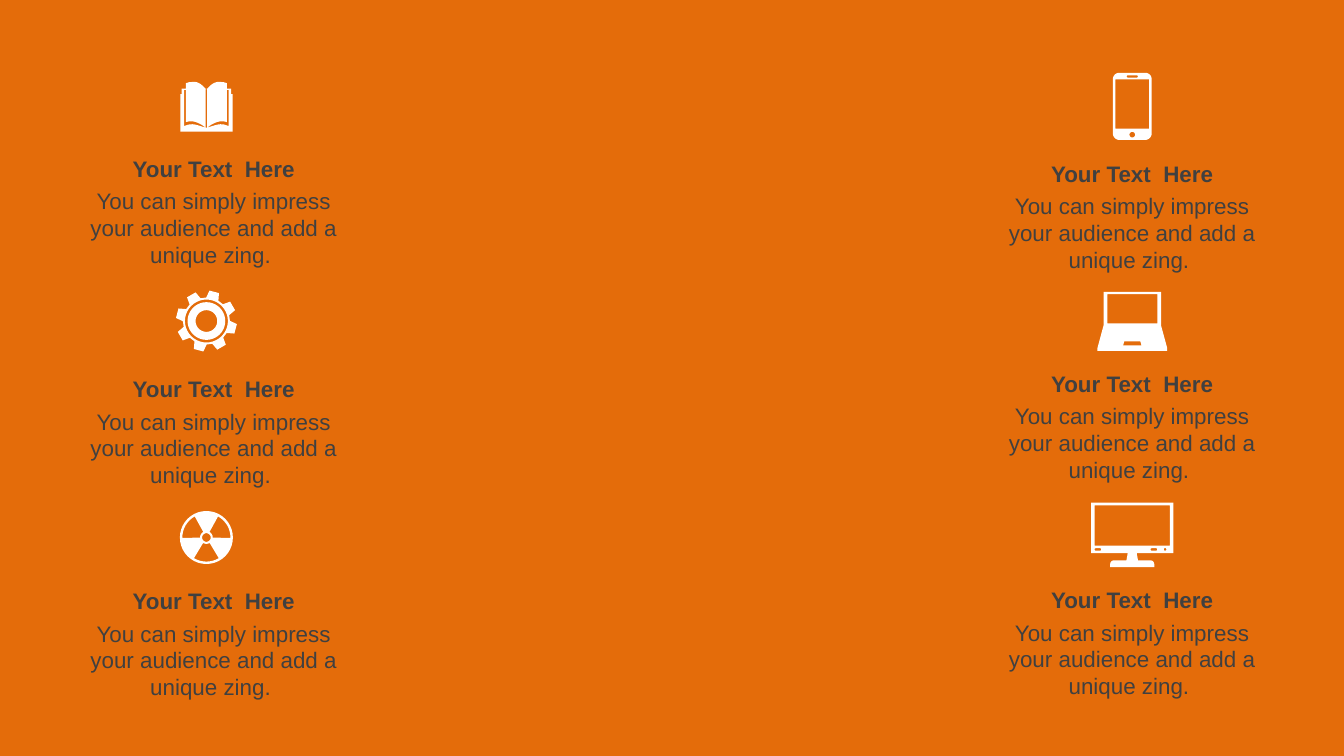
import math

import pptx
import pptx.dml.color
import pptx.enum.text
import pptx.util

Pt = pptx.util.Pt
ORANGE = pptx.dml.color.RGBColor(0xE4, 0x6C, 0x0A)
WHITE = pptx.dml.color.RGBColor(0xFF, 0xFF, 0xFF)
GREY = pptx.dml.color.RGBColor(0x40, 0x40, 0x40)
HEAD = "Your Text  Here"
BODY = "You can simply impress your audience and add a unique zing. "
WIDTH = 164.2


def polar(r, angle, x=0, y=0):
    turn = math.radians(angle)
    return x + r * math.sin(turn), y - r * math.cos(turn)


def arc(r, start, end, x=0, y=0, steps=8):
    return [polar(r, start + (end - start) * i / steps, x, y)
            for i in range(steps + 1)]


def circle(r, x=0, y=0):
    return arc(r, 0, 360, x, y, 40)[:-1]


def curve(a, b, c, d, steps=10):
    points = []
    for i in range(steps + 1):
        t = i / steps
        s = 1 - t
        mix = (s ** 3, 3 * s * s * t, 3 * s * t * t, t ** 3)
        points.append(tuple(sum(m * p[k] for m, p in zip(mix, (a, b, c, d)))
                            for k in (0, 1)))
    return points


def box(x, y, w, h):
    return [(x, y), (x + w, y), (x + w, y + h), (x, y + h)]


def rounded(x, y, w, h, r):
    return (arc(r, 0, 90, x + w - r, y + r)
            + arc(r, 90, 180, x + w - r, y + h - r)
            + arc(r, 180, 270, x + r, y + h - r)
            + arc(r, 270, 360, x + r, y + r))


def flip(points):
    return [(-x, y) for x, y in reversed(points)]


def mirror(half):
    return half + flip(half)


def book():
    cover = curve((0.3, -9.5), (2.5, -12), (4.5, -13.3), (6.5, -13.3))
    cover += [(9, -13.2), (11, -12.6), (11, -9.7), (13.3, -9.7),
              (13.3, -6.8), (14, -6.8), (14, 13.3)]
    edge = [(11, -9), (11.9, -9)]
    edge += curve((11.9, 10.4), (7.6, 8.4), (5.4, 9.8), (0.4, 11.2))
    edge += curve((0.4, 11.2), (4, 8.4), (7.6, 7), (11, 8.3))
    return [mirror(cover), edge, flip(edge), box(-0.4, -9.4, 0.8, 20.6)]


def gear():
    teeth = []
    for i in range(8):
        mid = 15 + 45 * i
        teeth += [polar(12.6, mid - 15.5), polar(16.4, mid - 9.2),
                  polar(16.4, mid + 9.2), polar(12.6, mid + 15.5)]
    return [teeth, circle(11.5), circle(10.1), circle(5.8)]


def hazard():
    vanes = [arc(12.9, mid - 31, mid + 31) + arc(3.4, mid + 31, mid - 31)
             for mid in (60, 180, 300)]
    return [circle(14.2), circle(2.3)] + vanes


def phone():
    return [rounded(-10.4, -18, 20.8, 36, 3.5), box(-9, -14.4, 18, 26.4),
            rounded(-3, -16.6, 6, 1.2, 0.6), circle(1.5, 0, 15.2)]


def laptop():
    body = [(15.4, -15.8), (15.4, 2.2), (18.7, 14.4), (18.7, 15.8)]
    return [mirror(body), box(-13.4, -14.5, 26.8, 15.7),
            mirror([(4.3, 10.8), (4.9, 12.9)])]


def screen():
    frame = [(22, -17.3), (22, 9.8), (2.4, 9.8), (3.1, 13.7)]
    frame += arc(2, 0, 90, 9.8, 15.7) + [(11.8, 17.3)]
    return [mirror(frame), box(-20.2, -15.7, 40.4, 21.5),
            rounded(-20.2, 7.2, 3.6, 1.3, 0.65),
            rounded(9.8, 7.2, 3.6, 1.3, 0.65), circle(0.7, 17.6, 7.8)]


def icon(slide, loops, x, y):
    pen = None
    for loop in loops:
        points = [(Pt(x + px), Pt(y + py)) for px, py in loop]
        if pen is None:
            pen = slide.shapes.build_freeform(*points[0], scale=1.0)
        else:
            pen.move_to(*points[0])
        pen.add_line_segments(points[1:], close=True)
    shape = pen.convert_to_shape()
    shape.shadow.inherit = False
    shape.fill.solid()
    shape.fill.fore_color.rgb = WHITE
    shape.line.fill.background()


def label(group, text, x, y, height, size=12, bold=None, color=GREY):
    shape = group.shapes.add_textbox(Pt(x), Pt(y), Pt(WIDTH), Pt(height))
    frame = shape.text_frame
    frame.word_wrap = True
    frame.auto_size = pptx.enum.text.MSO_AUTO_SIZE.SHAPE_TO_FIT_TEXT
    frame.vertical_anchor = pptx.enum.text.MSO_ANCHOR.MIDDLE
    para = frame.paragraphs[0]
    para.alignment = pptx.enum.text.PP_ALIGN.CENTER
    run = para.add_run()
    run.text = text
    run.font.name = "Arial"
    run.font.size = Pt(size)
    run.font.bold = bold
    run.font.color.rgb = color


def note(slide, x, y):
    group = slide.shapes.add_group_shape()
    label(group, BODY, x, y + 17, 51.1)
    label(group, HEAD, x, y, 21.8, bold=True)


def main():
    deck = pptx.Presentation()
    deck.slide_width, deck.slide_height = Pt(720), Pt(405)
    slide = deck.slides.add_slide(deck.slide_layouts[6])
    slide.background.fill.solid()
    slide.background.fill.fore_color.rgb = ORANGE
    columns = [
        (110.6, 32.4, [(book, 57.2, 79.2), (gear, 172, 197.4),
                       (hazard, 288, 311)]),
        (606.6, 524.4, [(phone, 57, 82), (laptop, 172.1, 194.6),
                        (screen, 286.5, 310.5)]),
    ]
    for mid, left, rows in columns:
        for draw, high, top in rows:
            icon(slide, draw(), mid, high)
            note(slide, left, top)
    deck.save("out.pptx")


if __name__ == "__main__":
    main()
